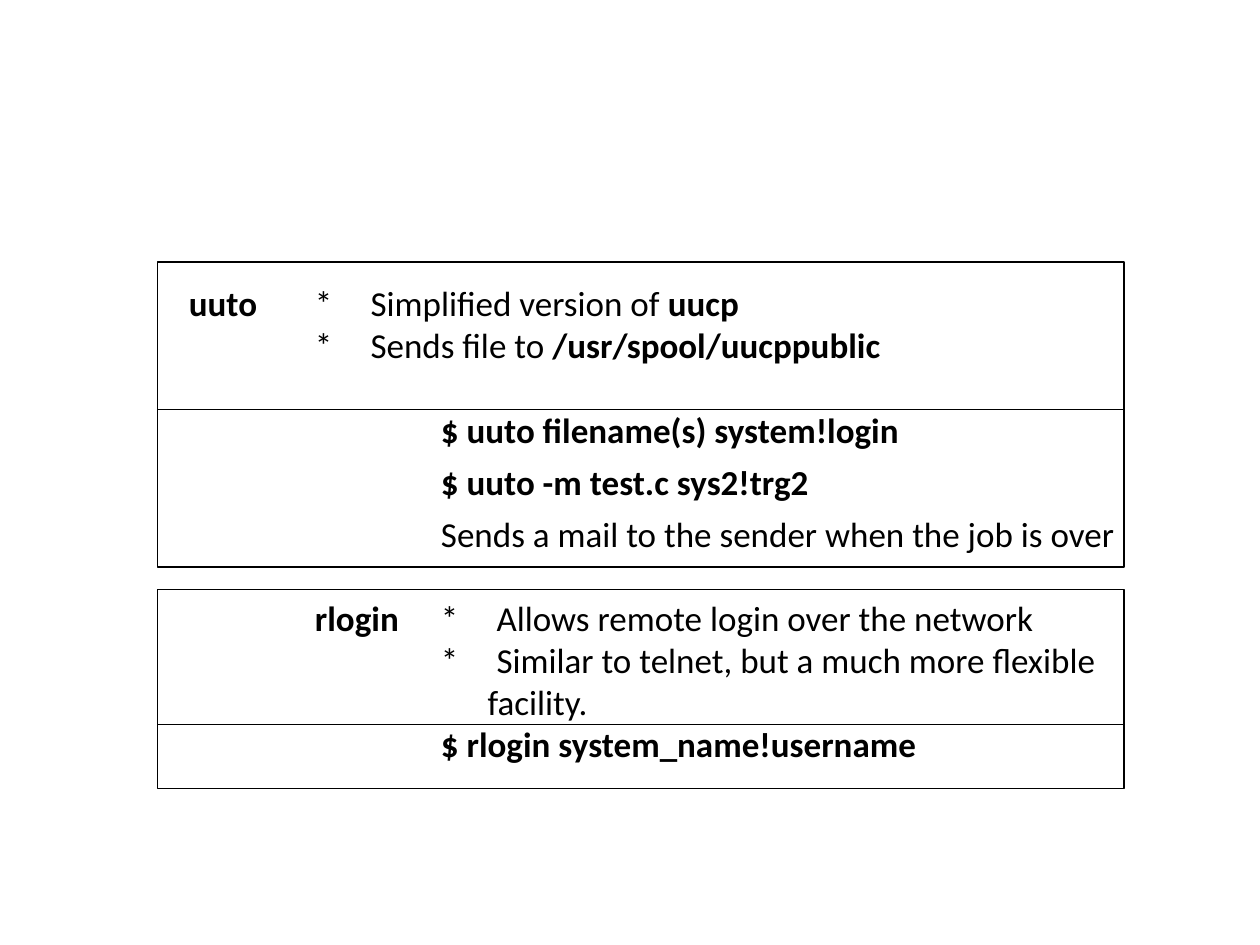
from lxml import etree
from pptx import Presentation
from pptx.dml.color import RGBColor
from pptx.enum.shapes import MSO_CONNECTOR, MSO_SHAPE
from pptx.oxml.ns import qn
from pptx.util import Cm, Pt

RECT = MSO_SHAPE.RECTANGLE
STRAIGHT = MSO_CONNECTOR.STRAIGHT

COLORS = {"ink": "000000"}
FONT, SIZE = "Calibri", 20
LINE_GAP, COMMAND_GAP = 24.4, 5.6

# Tab columns, in cm from the left edge of the text
COL1, COL2, COL3 = 2.54, 5.08, 7.62
ITEM = 1.12
CONTINUED = 8.56

# (space before in pt, [(tab stop, [(text, bold), ...]), ...])
LINES = [
    (0, [(COL1, [("uuto", True)]), (COL2, [("*", False)]),
         (COL2 + ITEM, [("Simplified version of ", False), ("uucp", True)])]),
    (0, [(COL2, [("*", False)]),
         (COL2 + ITEM, [("Sends file to ", False), ("/usr/spool/uucppublic", True)])]),
    (LINE_GAP, [(COL3, [("$ uuto filename(s) system!login", True)])]),
    (COMMAND_GAP, [(COL3, [("$ uuto -m test.c sys2!trg2", True)])]),
    (COMMAND_GAP, [(COL3, [("Sends a mail to the sender when the job is over", False)])]),
    (LINE_GAP, [(COL2, [("rlogin", True)]), (COL3, [("*", False)]),
                (COL3 + ITEM, [("Allows remote login over the network", False)])]),
    (0, [(COL3, [("*", False)]),
         (COL3 + ITEM, [("Similar to telnet, but a much more flexible", False)])]),
    (0, [(CONTINUED, [("facility.", False)])]),
    (0, [(COL3, [("$ rlogin system_name!username", True)])]),
]

PANEL_LEFT, PANEL_WIDTH = 3.18, 19.48
PANELS = [  # top, height, divider
    (5.28, 6.15, 8.25),
    (11.89, 4.01, 14.6),
]


def rgb(name):
    return RGBColor.from_string(COLORS[name])


def add_tabs(p, stops):
    tabs = etree.SubElement(p._p.get_or_add_pPr(), qn("a:tabLst"))
    for stop in stops:
        etree.SubElement(tabs, qn("a:tab"), pos=str(int(Cm(stop))), algn="l")


def add_line(p, gap, cells):
    """Fill a paragraph, each cell starting at its own tab stop."""
    add_tabs(p, [stop for stop, _ in cells])
    p.space_before = Pt(gap)
    for _, runs in cells:
        for i, (text, bold) in enumerate(runs):
            r = p.add_run()
            r.text = text if i else "\t" + text
            r.font.name, r.font.size, r.font.bold = FONT, Pt(SIZE), bold
            r.font.color.rgb = rgb("ink")


def outline(sp):
    sp.line.color.rgb = rgb("ink")
    sp.line.width = Pt(0.75)


def add_text(s):
    sp = s.shapes.add_textbox(Cm(1.02), Cm(3.4), Cm(23.55), Cm(12.09))
    tf = sp.text_frame
    tf.word_wrap = True
    tf.margin_top = Cm(2.28)
    for i, (gap, cells) in enumerate(LINES):
        p = tf.add_paragraph() if i else tf.paragraphs[0]
        add_line(p, gap, cells)


def add_panel(s, top, height, divider):
    sp = s.shapes.add_shape(RECT, Cm(PANEL_LEFT), Cm(top), Cm(PANEL_WIDTH), Cm(height))
    sp.shadow.inherit = False
    sp.fill.background()
    outline(sp)
    line = s.shapes.add_connector(STRAIGHT, Cm(PANEL_LEFT), Cm(divider),
                                  Cm(PANEL_LEFT + PANEL_WIDTH), Cm(divider))
    outline(line)
    etree.SubElement(line._element.spPr, qn("a:effectLst"))


def main():
    prs = Presentation()
    prs.slide_width, prs.slide_height = Cm(25.4), Cm(19.05)
    s = prs.slides.add_slide(prs.slide_layouts[6])
    add_text(s)
    for panel in PANELS:
        add_panel(s, *panel)
    prs.save("out.pptx")


if __name__ == "__main__":
    main()
